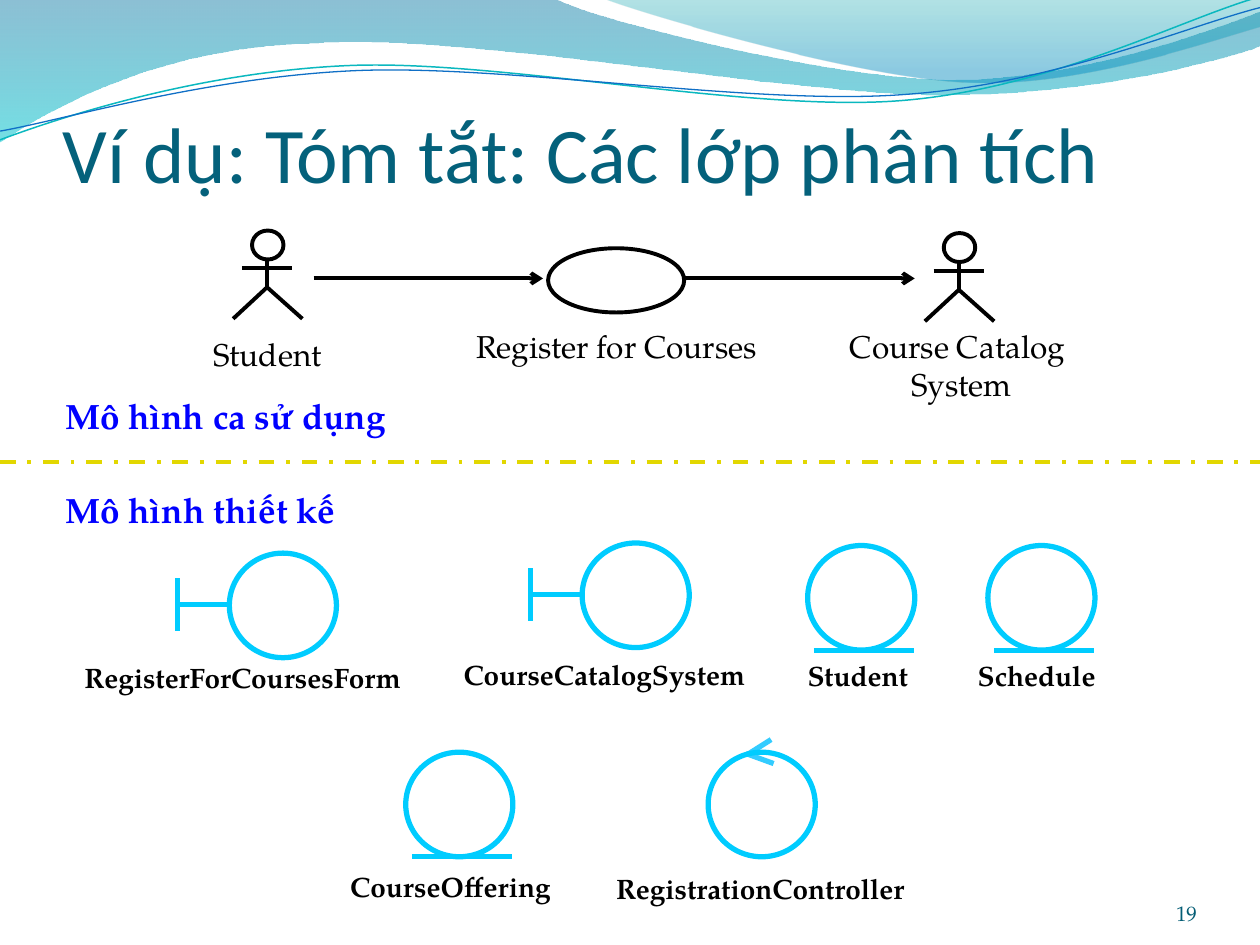
from math import cos, radians, sin

from lxml import etree
from pptx import Presentation
from pptx.dml.color import RGBColor
from pptx.enum.dml import MSO_LINE
from pptx.enum.shapes import MSO_CONNECTOR, MSO_SHAPE
from pptx.enum.text import MSO_ANCHOR, PP_ALIGN
from pptx.oxml.ns import qn
from pptx.util import Inches, Pt

STRAIGHT, OVAL = MSO_CONNECTOR.STRAIGHT, MSO_SHAPE.OVAL
DASHDOT = MSO_LINE.DASH_DOT
LEFT, CENTER, RIGHT = PP_ALIGN.LEFT, PP_ALIGN.CENTER, PP_ALIGN.RIGHT
TOP, BOTTOM = MSO_ANCHOR.TOP, MSO_ANCHOR.BOTTOM

BLACK = RGBColor(0x00, 0x00, 0x00)
BLUE = RGBColor(0x00, 0x00, 0xFF)
CYAN = RGBColor(0x00, 0xCC, 0xFF)
SKY = RGBColor(0x33, 0xCC, 0xFF)
YELLOW = RGBColor(0xE2, 0xD7, 0x00)
TITLE = RGBColor(0x04, 0x61, 0x7B)
NUMBER = RGBColor(0x04, 0x5D, 0x75)
TEAL = RGBColor(0x0A, 0xB8, 0xBF)
NAVY = RGBColor(0x0F, 0x6F, 0xC6)
DEEP = RGBColor(0x00, 0x74, 0xA1)
AQUA = RGBColor(0x00, 0xC6, 0xCF)
GREEN = RGBColor(0x00, 0xA1, 0xA9)
AZURE = RGBColor(0x00, 0x8B, 0xBF)
SERIF, SANS = "TeX Gyre Pagella", "Calibri"
TILT = 2.7

BAND = [(0, 0), (4.4, -0.01), (4.76, 0.17, 6.64, 0.63, 7.58, 0.63),
        (8.53, 0.63, 9.58, 0.26, 10, 0.09), (10.01, 0.36),
        (9.83, 0.44, 8.7, 0.76, 7.46, 0.75), (6.22, 0.75, 3.82, 0.28, 2.57, 0.34),
        (1.29, 0.36, 0.46, 0.83, -0.01, 1.13), (0, 0)]
CREST = [(4.79, -0.01), (5.09, 0.11, 6.82, 0.62, 7.69, 0.65),
         (8.56, 0.69, 9.61, 0.32, 10, 0.21), (10, 0), (4.79, -0.01)]
UPPER = [(0, 1.11), (0.48, 0.93, 1.58, 0.57, 2.77, 0.52),
         (3.95, 0.47, 5.93, 0.89, 7.13, 0.8), (8.33, 0.71, 9.38, 0.15, 9.98, -0.02)]
LOWER = [(0, 1.04), (0.47, 0.96, 1.64, 0.61, 2.83, 0.56),
         (4.03, 0.51, 5.97, 0.84, 7.17, 0.75), (8.36, 0.67, 9.41, 0.21, 10, 0.06)]


def turn(steps, cx, cy):
    """Rotate path steps clockwise by the tilt around a centre."""
    c, s = cos(radians(TILT)), sin(radians(TILT))
    turned = []
    for step in steps:
        spots = [(x - cx, y - cy) for x, y in zip(step[::2], step[1::2])]
        turned.append(sum(((cx + x * c - y * s, cy + x * s + y * c)
                           for x, y in spots), ()))
    return turned


def outline(slide, steps, close):
    """Add a freeform; steps of six numbers become cubic curves."""
    dots = [(Inches(x), Inches(y)) for step in steps
            for x, y in zip(step[::2], step[1::2])]
    pen = slide.shapes.build_freeform(*dots[0])
    pen.add_line_segments(dots[1:], close=close)
    shape = pen.convert_to_shape()
    shape.shadow.inherit = False
    legs = iter(list(shape.element.spPr.iter(qn("a:lnTo"))))
    for step in steps[1:]:
        leg = next(legs)
        if len(step) == 6:
            leg.addprevious(curve := etree.Element(qn("a:cubicBezTo")))
            for part in (leg, next(legs), next(legs)):
                curve.append(part[0])
                part.getparent().remove(part)
    return shape


def stroke(slide, steps, color, width):
    """Draw an open, unfilled path."""
    shape = outline(slide, steps, False)
    shape.fill.background()
    shape.line.color.rgb = color
    shape.line.width = Pt(width)
    return shape


def wave(slide, steps, stops):
    """Draw a closed shape with a translucent vertical gradient."""
    shape = outline(slide, steps, True)
    shape.line.fill.background()
    shape.fill.gradient()
    shape.fill.gradient_angle = 270
    for stop, (place, color, alpha) in zip(shape.fill.gradient_stops, stops):
        stop.position = place
        stop.color.rgb = color
    tints = shape.element.spPr.iter(qn("a:srgbClr"))
    for tint, (place, color, alpha) in zip(tints, stops):
        etree.SubElement(tint, qn("a:alpha"), val=str(alpha * 1000))


def line(slide, x1, y1, x2, y2, color=BLACK, width=2.25, arrow=False, dash=None):
    """Draw a straight line, with an arrowhead or dashes if asked."""
    link = slide.shapes.add_connector(
        STRAIGHT, Inches(x1), Inches(y1), Inches(x2), Inches(y2))
    link.line.color.rgb = color
    link.line.width = Pt(width)
    if dash:
        link.line.dash_style = dash
    if arrow:
        etree.SubElement(link.line._get_or_add_ln(), qn("a:tailEnd"), type="arrow")
    etree.SubElement(link.element.spPr, qn("a:effectLst"))


def oval(slide, x, y, w, h, color=BLACK, width=2.25):
    """Draw an unfilled ellipse."""
    shape = slide.shapes.add_shape(OVAL, Inches(x), Inches(y), Inches(w), Inches(h))
    shape.shadow.inherit = False
    shape.fill.background()
    shape.line.color.rgb = color
    shape.line.width = Pt(width)


def text(slide, x, y, w, h, words, size, color=BLACK, font=SERIF, bold=False,
         align=LEFT, anchor=TOP, pad=(0.1, 0.05, 0.05), wrap=True):
    """Add a text box with one paragraph per line of words."""
    box = slide.shapes.add_textbox(Inches(x), Inches(y), Inches(w), Inches(h))
    frame = box.text_frame
    frame.word_wrap = wrap
    frame.vertical_anchor = anchor
    frame.margin_left = frame.margin_right = Inches(pad[0])
    frame.margin_top, frame.margin_bottom = Inches(pad[1]), Inches(pad[2])
    for i, part in enumerate(words.split("\n")):
        para = frame.add_paragraph() if i else frame.paragraphs[0]
        para.text = part
        para.alignment = align
        para.font.size = Pt(size)
        para.font.name = font
        para.font.bold = bold
        para.font.color.rgb = color
        if i:
            para.line_spacing = 0.5
            para.space_before = Pt(9)


def actor(slide, x, y):
    """Draw a stick figure."""
    mid = x + 0.27
    oval(slide, x + 0.15, y, 0.25, 0.23)
    line(slide, mid, y + 0.23, mid, y + 0.45)
    line(slide, x + 0.07, y + 0.3, x + 0.47, y + 0.3)
    stroke(slide, [(x, y + 0.7), (mid, y + 0.45), (x + 0.55, y + 0.7)], BLACK, 2.25)


def ring(slide, x, y):
    """Draw the circle of a class symbol."""
    oval(slide, x, y, 0.85, 0.83, CYAN, 3)


def border(slide, x, y):
    """Draw a boundary class symbol."""
    ring(slide, x, y)
    line(slide, x - 0.41, y + 0.2, x - 0.41, y + 0.62, CYAN, 3)
    line(slide, x - 0.41, y + 0.41, x, y + 0.41, CYAN, 3)


def entity(slide, x, y):
    """Draw an entity class symbol."""
    line(slide, x + 0.05, y + 0.83, x + 0.84, y + 0.83, CYAN, 3)
    ring(slide, x, y)


def control(slide, x, y):
    """Draw a control class symbol."""
    line(slide, x + 0.5, y - 0.1, x + 0.31, y + 0.02, SKY, 3)
    line(slide, x + 0.52, y + 0.09, x + 0.3, y + 0.01, SKY, 3)
    ring(slide, x, y)


def main():
    """Build the slide and save it."""
    deck = Presentation()
    deck.slide_width, deck.slide_height = Inches(10), Inches(7.5)
    slide = deck.slides.add_slide(deck.slide_layouts[6])

    wave(slide, BAND, [(0, DEEP, 45), (1, AQUA, 55)])
    wave(slide, CREST, [(0, GREEN, 30), (0.8, AZURE, 45)])
    for steps, cy, color, width in ((UPPER, 0.58, TEAL, 0.85), (LOWER, 0.59, NAVY, 0.75)):
        stroke(slide, turn(steps, 4.99, cy), color, width).rotation = 360 - TILT
    text(slide, 8.67, 6.95, 0.83, 0.4, "19", 12, NUMBER,
         align=RIGHT, anchor=BOTTOM, pad=(0, 0, 0))
    text(slide, 0.5, 0.77, 9, 0.81, "Ví dụ: Tóm tắt: Các lớp phân tích", 45,
         TITLE, SANS, anchor=BOTTOM, pad=(0, 0.05, 0))

    actor(slide, 1.85, 1.83)
    actor(slide, 7.34, 1.85)
    oval(slide, 4.35, 1.97, 1.08, 0.51)
    for x in (2.49, 5.44):
        line(slide, x, 2.21, x + 1.82, 2.21, arrow=True)
    for x, y, w, h, words in (
            (1.57, 2.61, 1.11, 0.4, "Student"),
            (3.47, 2.55, 2.85, 0.4, "Register for Courses"),
            (6.61, 2.55, 2.04, 0.7, "Course Catalog \nSystem")):
        text(slide, x, y, w, h, words, 18, align=CENTER)

    line(slide, 0, 3.67, 10, 3.67, YELLOW, dash=DASHDOT)
    text(slide, 0.42, 3.08, 3.24, 0.44, "Mô hình ca sử dụng", 20, BLUE, bold=True)
    text(slide, 0.42, 3.83, 2.75, 0.43, "Mô hình thiết kế", 20, BLUE, bold=True)

    for draw, x, y, left, top, w, name in (
            (border, 1.82, 4.39, 0.67, 5.24, 2.69, "RegisterForCoursesForm"),
            (border, 4.62, 4.31, 3.68, 5.22, 2.37, "CourseCatalogSystem"),
            (entity, 6.41, 4.33, 6.41, 5.23, 0.83, "Student"),
            (entity, 7.84, 4.33, 7.76, 5.23, 0.99, "Schedule"),
            (entity, 3.22, 5.97, 2.78, 6.9, 1.63, "CourseOffering"),
            (control, 5.62, 5.97, 4.89, 6.92, 2.36, "RegistrationController")):
        draw(slide, x, y)
        text(slide, left, top, w, 0.27, name, 16, bold=True, pad=(0, 0, 0), wrap=False)

    deck.save("out.pptx")


if __name__ == "__main__":
    main()
